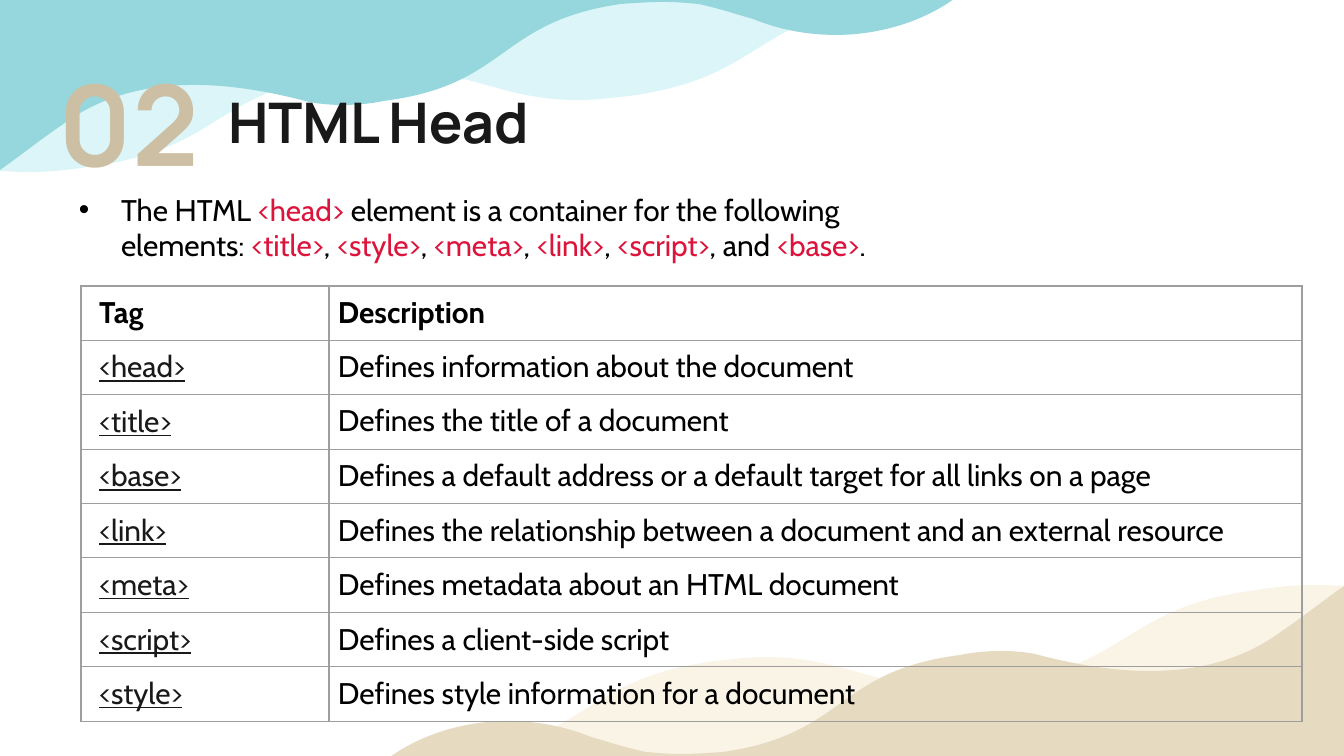
import lxml.etree
import pptx
import pptx.dml.color
import pptx.enum.text
import pptx.oxml.ns
import pptx.util

SCALE = 914400 / 134.4
MIDDLE = pptx.enum.text.MSO_ANCHOR.MIDDLE
LEFT = pptx.enum.text.PP_ALIGN.LEFT
CENTER = pptx.enum.text.PP_ALIGN.CENTER
BLACK, INK, RED, SAND = "000000", "191919", "DC143C", "CCBFA3"

# Wave outlines: pairs are straight lines, sixes are cubic curves.
PALE_WAVE = [
    (833, 0),
    (714, 20, 720, 75, 590, 93), (571, 94, 555, 95, 542, 95),
    (464, 95, 434, 66, 356, 66), (341, 66, 325, 67, 306, 70),
    (172, 87, 184, 146, 48, 164), (34, 165, 20, 167, 7, 167),
    (5, 167, 3, 167, 0, 167),
    (0, 344),
    (8, 344, 16, 345, 26, 345), (43, 345, 63, 344, 87, 340),
    (222, 323, 210, 265, 345, 246), (363, 245, 380, 243, 394, 243),
    (472, 243, 501, 273, 579, 273), (594, 273, 610, 271, 629, 269),
    (763, 251, 751, 192, 887, 175), (902, 173, 915, 172, 929, 172),
    (935, 172, 943, 172, 950, 173),
    (950, 0),
]
DEEP_WAVE = [
    (0, 0), (0, 171),
    (20, 157, 40, 141, 62, 126), (101, 97, 146, 86, 194, 86),
    (233, 86, 271, 93, 309, 103), (319, 105, 331, 106, 343, 106),
    (355, 106, 370, 105, 384, 102), (509, 86, 497, 23, 621, 5),
    (637, 4, 650, 3, 663, 3), (675, 3, 687, 4, 698, 5),
    (718, 9, 735, 15, 753, 20), (780, 31, 808, 36, 836, 36),
    (879, 36, 922, 23, 954, 0),
]
HEAD_TAGS = ["<title>", "<style>", "<meta>", "<link>", "<script>", "<base>"]
TAG_ROWS = [
    ("Tag", "Description"),
    ("<head>", "Defines information about the document"),
    ("<title>", "Defines the title of a document"),
    ("<base>", "Defines a default address or a default target for all links on a page"),
    ("<link>", "Defines the relationship between a document and an external resource"),
    ("<meta>", "Defines metadata about an HTML document"),
    ("<script>", "Defines a client-side script"),
    ("<style>", "Defines style information for a document"),
]


def emu(pixels):
    """Turn pixels into EMU."""
    return pptx.util.Emu(round(pixels * SCALE))


def color(hex_text):
    """Turn a hex string into a colour."""
    return pptx.dml.color.RGBColor.from_string(hex_text)


def add_span(para, text, size, font, hex_text, bold=False, underline=False):
    """Add one formatted run to a paragraph."""
    span = para.add_run()
    span.text = text
    span.font.size = pptx.util.Pt(size)
    span.font.name = font
    span.font.bold = bold
    span.font.underline = underline
    span.font.color.rgb = color(hex_text)


def place(shape, box):
    """Put a shape at a box of left, top, width, height."""
    shape.left, shape.top, shape.width, shape.height = map(emu, box)


def set_frame(frame, margins):
    """Set wrapping, middle anchor and margins of a text frame."""
    frame.word_wrap = True
    frame.auto_size = pptx.enum.text.MSO_AUTO_SIZE.NONE
    frame.vertical_anchor = MIDDLE
    side, end = map(emu, margins)
    frame.margin_left = frame.margin_right = side
    frame.margin_top = frame.margin_bottom = end


def bend(shape, outline):
    """Turn the straight segments of a freeform into its cubic curves."""
    segments = list(shape.element.iter(pptx.oxml.ns.qn("a:lnTo")))
    for segment, part in zip(segments, outline[1:]):
        if len(part) == 2:
            continue
        curve = lxml.etree.Element(pptx.oxml.ns.qn("a:cubicBezTo"))
        for x, y in zip(part[::2], part[1::2]):
            lxml.etree.SubElement(curve, pptx.oxml.ns.qn("a:pt"), x=str(emu(x)), y=str(emu(y)))
        segment.getparent().replace(segment, curve)


def add_wave(page, outline, left, top, hex_text, rotation):
    """Draw one wave with its corner at left, top."""
    corners = [tuple(map(emu, part[-2:])) for part in outline]
    builder = page.shapes.build_freeform(*corners[0])
    builder.add_line_segments(corners[1:], close=True)
    wave = builder.convert_to_shape(emu(left), emu(top))
    bend(wave, outline)
    wave.fill.solid()
    wave.fill.fore_color.rgb = color(hex_text)
    wave.line.fill.background()
    wave.shadow.inherit = False
    wave.rotation = rotation


def add_heading(page, box):
    """Place the section number and the title beside it."""
    left, top, width, height = box
    number_width = 173
    title = page.shapes.title
    page.shapes.element.append(title.element)
    place(title, (left + number_width, top + 16, width - number_width, 56))
    number = page.shapes.add_textbox(0, 0, 0, 0)
    place(number, (left, top, number_width, height))
    for shape, text, size, hex_text, align in (
            (title, "HTML Head", 30, INK, LEFT), (number, "02", 60, SAND, CENTER)):
        set_frame(shape.text_frame, (13, 13))
        para = shape.text_frame.paragraphs[0]
        para.alignment = align
        add_span(para, text, size, "Manrope", hex_text, bold=True)


def add_intro(page, box):
    """Write the bulleted sentence that lists the head elements."""
    intro = page.shapes.add_textbox(*map(emu, box))
    set_frame(intro.text_frame, (13, 7))
    para = intro.text_frame.paragraphs[0]
    properties = para._p.get_or_add_pPr()
    properties.set("marL", str(emu(42)))
    properties.set("indent", str(emu(-42)))
    for tag, name, value in (("a:buFont", "typeface", "Arial"), ("a:buChar", "char", "\u2022")):
        lxml.etree.SubElement(properties, pptx.oxml.ns.qn(tag)).set(name, value)
    spans = [("The HTML\u00a0", BLACK), ("<head>", RED),
             ("\u00a0element is a container for the following elements:\u00a0", BLACK)]
    for tag in HEAD_TAGS:
        after = {"<script>": ", and\u00a0", "<base>": ". "}.get(tag, ",\u00a0")
        spans += [(tag, RED), (after, BLACK)]
    for text, hex_text in spans:
        add_span(para, text, 16, "Cabin", hex_text)


def set_borders(cell, hex_text):
    """Draw a thin line on every side of a cell."""
    properties = cell._tc.get_or_add_tcPr()
    for index, side in enumerate(("lnL", "lnR", "lnT", "lnB")):
        line = lxml.etree.Element(pptx.oxml.ns.qn("a:" + side), w=str(pptx.util.Pt(0.75)))
        fill = lxml.etree.SubElement(line, pptx.oxml.ns.qn("a:solidFill"))
        lxml.etree.SubElement(fill, pptx.oxml.ns.qn("a:srgbClr")).set("val", hex_text)
        properties.insert(index, line)


def add_tag_table(page, box):
    """Build the table of tags and descriptions."""
    left, top, width, height = box
    count = len(TAG_ROWS)
    table = page.shapes.add_table(count, 2, *map(emu, box)).table
    table.first_row = table.horz_banding = False
    for column, column_width in zip(table.columns, (248, width - 248)):
        column.width = emu(column_width)
    for row, texts in enumerate(TAG_ROWS):
        table.rows[row].height = emu(height * (row + 1) // count - height * row // count)
        for column, text in enumerate(texts):
            cell = table.cell(row, column)
            is_tag = row > 0 and column == 0
            cell.fill.background()
            set_borders(cell, "9E9E9E")
            cell.margin_left = emu(9 if column else 18)
            cell.margin_right = cell.margin_top = cell.margin_bottom = emu(9)
            if is_tag:
                cell.vertical_anchor = MIDDLE
            add_span(cell.text_frame.paragraphs[0], text, 16, "Cabin",
                     INK if is_tag else BLACK, bold=row == 0, underline=is_tag)


def build_head_slide(deck):
    """Add the slide about the HTML head."""
    page = deck.slides.add_slide(deck.slide_layouts[5])
    add_wave(page, PALE_WAVE, 0, -173, "DBF5F8", 0)
    add_wave(page, DEEP_WAVE, 0, -1, "96D6DD", 0)
    add_wave(page, PALE_WAVE, 394, 585, "FAF4E6", 180)
    add_wave(page, DEEP_WAVE, 390, 586, "E6DAC1", 180)
    add_heading(page, (42, 77, 509, 90))
    add_intro(page, (66, 184, 1341, 86))
    add_tag_table(page, (81, 286, 1221, 435))


deck = pptx.Presentation()
deck.slide_width, deck.slide_height = emu(1344), emu(756)
build_head_slide(deck)
deck.save("out.pptx")
